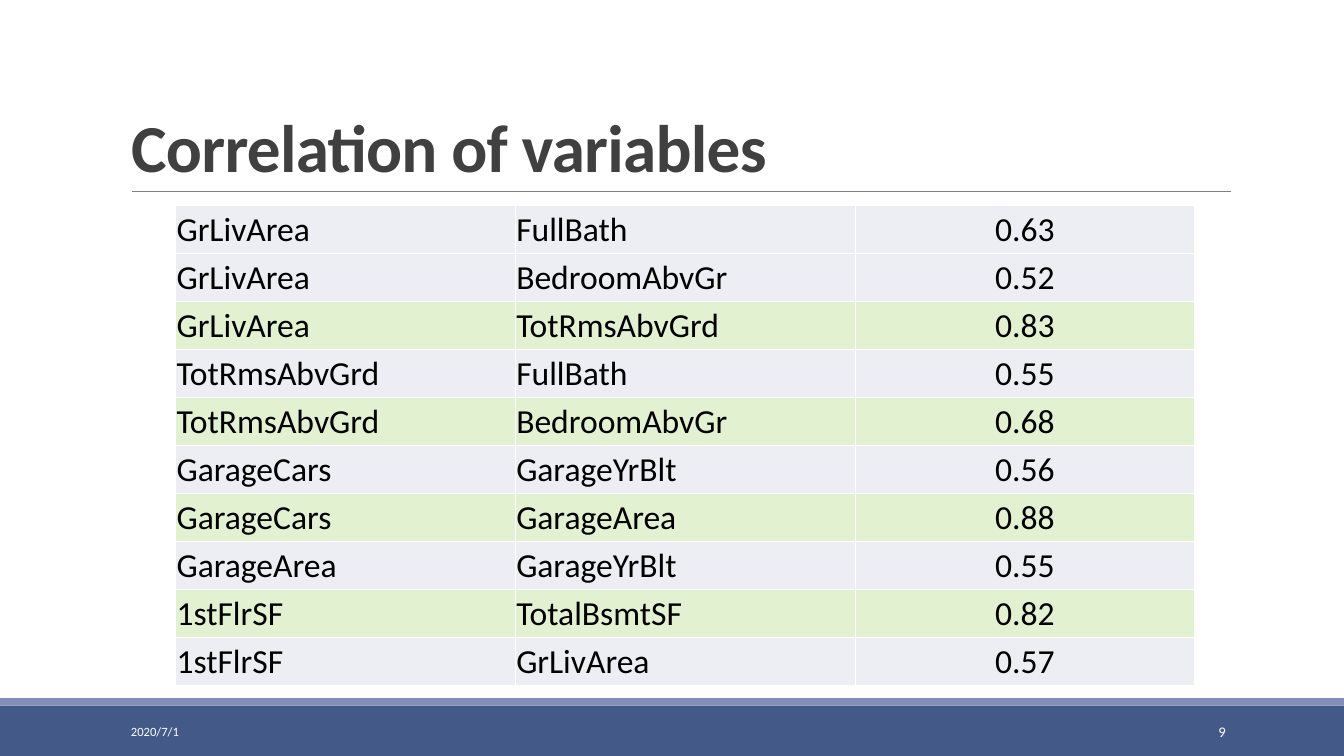
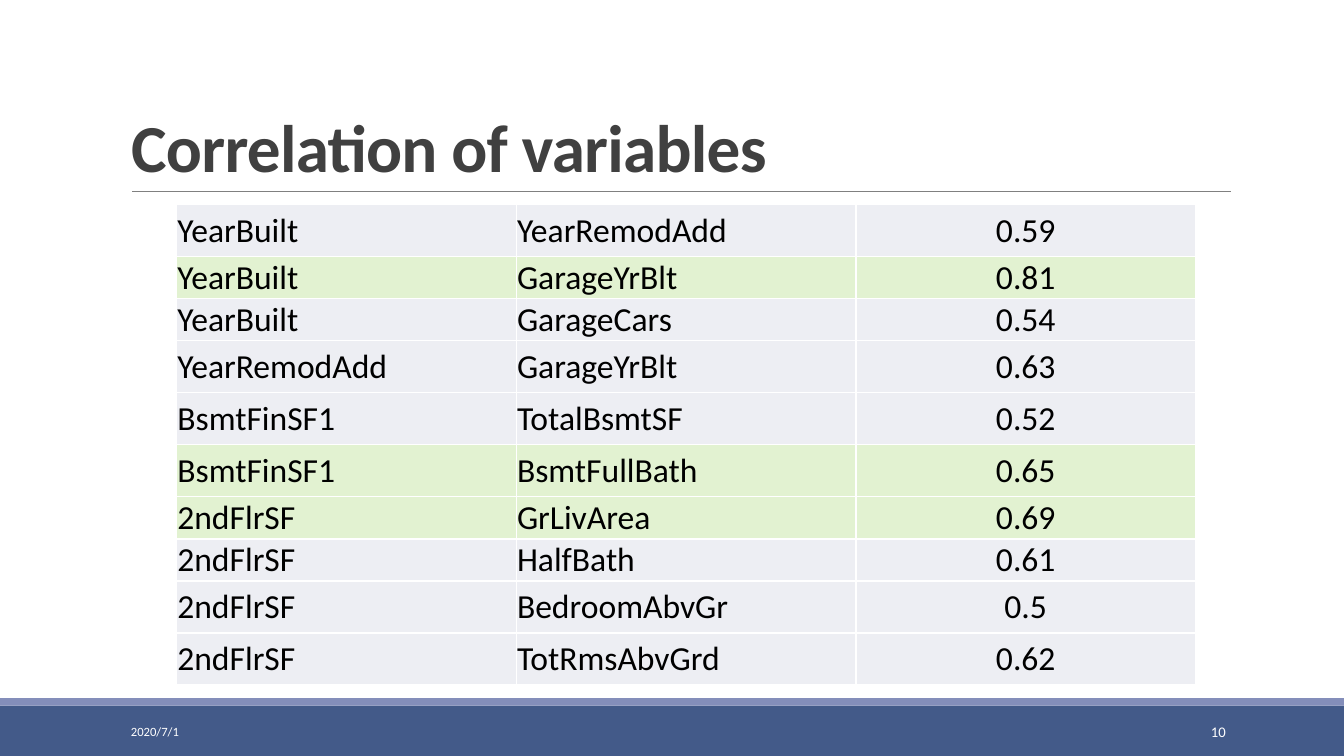
import dataclasses

import lxml.etree
import pptx
import pptx.dml.color
import pptx.enum.shapes
import pptx.enum.text
import pptx.oxml
import pptx.oxml.ns
import pptx.util

Cm = pptx.util.Cm
Pt = pptx.util.Pt
RGB = pptx.dml.color.RGBColor.from_string
Align = pptx.enum.text.PP_ALIGN
Anchor = pptx.enum.text.MSO_ANCHOR
qn = pptx.oxml.ns.qn


@dataclasses.dataclass(frozen=True)
class Theme:
    font: str = "Calibri"
    band: str = "435A89"
    strip: str = "848EBA"
    rule: str = "808080"
    title: str = "404040"
    body: str = "000000"
    white: str = "FFFFFF"
    row: str = "EDEEF3"
    highlight: str = "92D050"
    highlight_alpha: int = 26
    title_size: float = 48
    body_size: float = 24
    date_size: float = 9
    number_size: float = 10.5


theme = Theme()

TITLE = "Correlation of variables"
DATE = "2020/7/1"
FIRST_NUMBER = 9
STRONG = 0.65  # rows at or above this correlation are highlighted
COLUMN_WIDTH = Cm(8.56)
EVEN, TALL, SHORT = Cm(1.21), Cm(1.31), Cm(1.06)

tables = [
    {
        "left": Cm(4.43),
        "top": Cm(5.18),
        "heights": [EVEN] * 10,
        "rows": [
            ("GrLivArea", "FullBath", "0.63"),
            ("GrLivArea", "BedroomAbvGr", "0.52"),
            ("GrLivArea", "TotRmsAbvGrd", "0.83"),
            ("TotRmsAbvGrd", "FullBath", "0.55"),
            ("TotRmsAbvGrd", "BedroomAbvGr", "0.68"),
            ("GarageCars", "GarageYrBlt", "0.56"),
            ("GarageCars", "GarageArea", "0.88"),
            ("GarageArea", "GarageYrBlt", "0.55"),
            ("1stFlrSF", "TotalBsmtSF", "0.82"),
            ("1stFlrSF", "GrLivArea", "0.57"),
        ],
    },
    {
        "left": Cm(4.45),
        "top": Cm(5.16),
        "heights": [TALL, SHORT, SHORT, TALL, TALL, TALL, SHORT, SHORT, TALL, TALL],
        "rows": [
            ("YearBuilt", "YearRemodAdd", "0.59"),
            ("YearBuilt", "GarageYrBlt", "0.81"),
            ("YearBuilt", "GarageCars", "0.54"),
            ("YearRemodAdd", "GarageYrBlt", "0.63"),
            ("BsmtFinSF1", "TotalBsmtSF", "0.52"),
            ("BsmtFinSF1", "BsmtFullBath", "0.65"),
            ("2ndFlrSF", "GrLivArea", "0.69"),
            ("2ndFlrSF", "HalfBath", "0.61"),
            ("2ndFlrSF", "BedroomAbvGr", "0.5"),
            ("2ndFlrSF", "TotRmsAbvGrd", "0.62"),
        ],
    },
]


def write(text_frame, text, size, color, align=Align.LEFT, anchor=Anchor.MIDDLE):
    """Put one formatted run in the first paragraph and return that run."""
    text_frame.word_wrap = True
    text_frame.vertical_anchor = anchor
    paragraph = text_frame.paragraphs[0]
    paragraph.alignment = align
    run = paragraph.add_run()
    run.text = text
    run.font.name = theme.font
    run.font.size = Pt(size)
    run.font.color.rgb = RGB(color)
    return run


def style_cell(cell, strong):
    """Give a cell its thin margins, white borders and row colour."""
    cell.margin_left = cell.margin_top = cell.margin_right = Cm(0.02)
    cell.margin_bottom = 0
    properties = cell._tc.get_or_add_tcPr()
    for side in ("a:lnL", "a:lnR", "a:lnT", "a:lnB"):
        border = lxml.etree.SubElement(properties, qn(side), w=str(Pt(1)))
        border_fill = lxml.etree.SubElement(border, qn("a:solidFill"))
        lxml.etree.SubElement(border_fill, qn("a:srgbClr"), val=theme.white)
    cell.fill.solid()
    cell.fill.fore_color.rgb = RGB(theme.highlight if strong else theme.row)
    if strong:
        color = properties.find(qn("a:solidFill")).find(qn("a:srgbClr"))
        lxml.etree.SubElement(color, qn("a:alpha"), val=str(theme.highlight_alpha * 1000))


presentation = pptx.Presentation()
presentation.slide_width = Cm(33.87)
presentation.slide_height = Cm(19.05)
layout = presentation.slide_layouts.get_by_name("Title Only")
slides = [presentation.slides.add_slide(layout) for _ in tables]

# Shared decoration: drawn once, then moved to the back of the layout
decoration = []
for top, height, color in ((17.78, 1.27, theme.band), (17.59, 0.19, theme.strip)):
    band = slides[0].shapes.add_shape(
        pptx.enum.shapes.MSO_SHAPE.RECTANGLE, 0, Cm(top), presentation.slide_width, Cm(height)
    )
    band.shadow.inherit = False
    band.fill.solid()
    band.fill.fore_color.rgb = RGB(color)
    band.line.fill.background()
    decoration.append(band)

rule = slides[0].shapes.add_connector(
    pptx.enum.shapes.MSO_CONNECTOR.STRAIGHT, Cm(3.33), Cm(4.83), Cm(31.02), Cm(4.83)
)
rule.line.color.rgb = RGB(theme.rule)
rule.line.width = Pt(0.5)
lxml.etree.SubElement(rule.element.spPr, qn("a:effectLst"))
decoration.append(rule)

for position, shape in enumerate(decoration, start=2):
    layout.shapes.element.insert(position, shape.element)

for number, (slide, content) in enumerate(zip(slides, tables), start=FIRST_NUMBER):
    title = slide.shapes.title
    title.left, title.top, title.width, title.height = Cm(3.05), Cm(0.79), Cm(27.94), Cm(4.04)
    title.text_frame.auto_size = pptx.enum.text.MSO_AUTO_SIZE.NONE
    title_run = write(
        title.text_frame, TITLE, theme.title_size, theme.title, anchor=Anchor.BOTTOM
    )
    title_run.font.bold = True
    title_run._r.get_or_add_rPr().set("spc", "-50")
    title.text_frame.paragraphs[0].line_spacing = 0.85

    rows = content["rows"]
    table = slide.shapes.add_table(
        len(rows), 3, content["left"], content["top"], COLUMN_WIDTH * 3, sum(content["heights"])
    ).table
    table.first_row = table.horz_banding = False
    for column in table.columns:
        column.width = COLUMN_WIDTH
    for row_index, (values, height) in enumerate(zip(rows, content["heights"])):
        table.rows[row_index].height = height
        for column_index, value in enumerate(values):
            cell = table.cell(row_index, column_index)
            style_cell(cell, float(values[2]) >= STRONG)
            cell.vertical_anchor = Anchor.MIDDLE
            align = Align.CENTER if column_index == 2 else Align.LEFT
            write(cell.text_frame, value, theme.body_size, theme.body, align)

    for text, left, width, size, align in (
        (DATE, 3.05, 6.86, theme.date_size, Align.LEFT),
        (str(number), 27.51, 3.63, theme.number_size, Align.RIGHT),
    ):
        footer = slide.shapes.add_textbox(Cm(left), Cm(17.93), Cm(width), Cm(1.02))
        write(footer.text_frame, text, size, theme.white, align)

presentation.save("out.pptx")
